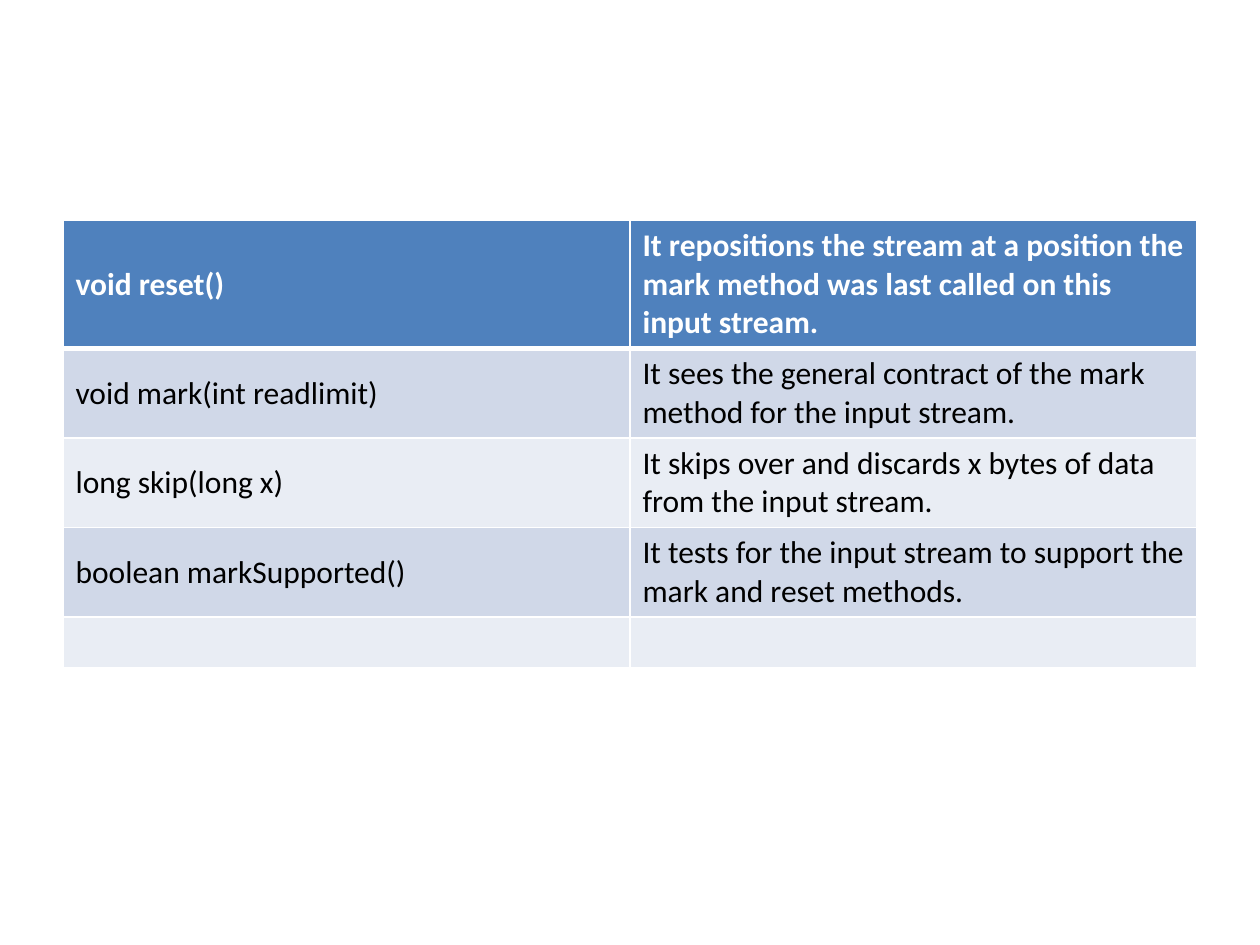
import pptx
import pptx.dml.color
import pptx.enum.text
import pptx.oxml
import pptx.oxml.ns
import pptx.util
from pptx.util import Inches

COLORS = {
    "header": "4F81BD",
    "band_dark": "D0D8E8",
    "band_light": "E9EDF4",
    "white": "FFFFFF",
    "black": "000000",
}

METHODS = [
    ("void reset()",
     "It repositions the stream at a position the mark method was last called on this input stream."),
    ("void mark(int readlimit)",
     "It sees the general contract of the mark method for the input stream."),
    ("long skip(long x)",
     "It skips over and discards x bytes of data from the input stream."),
    ("boolean markSupported()",
     "It tests for the input stream to support the mark and reset methods."),
    ("", ""),
]
ROW_HEIGHTS = [1.01, 0.71, 0.71, 0.71, 0.4]


def rgb(name):
    return pptx.dml.color.RGBColor.from_string(COLORS[name])


class SlideBuilder:
    """Holds the text style and the current slide."""

    def __init__(self, prs, font="Calibri", size=18):
        self.slide = prs.slides.add_slide(prs.slide_layouts[6])
        self.font = font
        self.size = size

    def border(self, cell, side, width):
        tcPr = cell._tc.get_or_add_tcPr()
        tcPr.append(pptx.oxml.parse_xml(
            f'<a:ln{side} {pptx.oxml.ns.nsdecls("a")} w="{pptx.util.Pt(width)}">'
            f'<a:solidFill><a:srgbClr val="{COLORS["white"]}"/></a:solidFill>'
            f'</a:ln{side}>'))

    def cell(self, cell, text, fill, color, bold, top, bottom):
        # Borders come before the fill in the cell properties
        for side, width in (("L", 1), ("R", 1), ("T", top), ("B", bottom)):
            self.border(cell, side, width)
        cell.fill.solid()
        cell.fill.fore_color.rgb = rgb(fill)
        cell.vertical_anchor = pptx.enum.text.MSO_ANCHOR.MIDDLE
        p = cell.text_frame.paragraphs[0]
        p.text = text
        p.font.name = self.font
        p.font.size = pptx.util.Pt(self.size)
        p.font.bold = bold
        p.font.color.rgb = rgb(color)

    def table(self, rows, heights, left, top, width):
        cols = len(rows[0])
        table = self.slide.shapes.add_table(
            len(rows), cols, Inches(left), Inches(top),
            Inches(width), Inches(sum(heights))).table
        for column in table.columns:
            column.width = Inches(width / cols)
        for i, (texts, height) in enumerate(zip(rows, heights)):
            table.rows[i].height = Inches(height)
            header = i == 0
            band = "band_dark" if i % 2 else "band_light"
            for j, text in enumerate(texts):
                self.cell(table.cell(i, j), text,
                          fill="header" if header else band,
                          color="white" if header else "black",
                          bold=header,
                          top=3 if i == 1 else 1,
                          bottom=3 if header else 1)


def main():
    prs = pptx.Presentation()
    prs.slide_width, prs.slide_height = Inches(10), Inches(7.5)

    # Table of stream methods
    s = SlideBuilder(prs)
    s.table(METHODS, ROW_HEIGHTS, left=0.5, top=1.75, width=9)

    prs.save("out.pptx")


if __name__ == "__main__":
    main()
